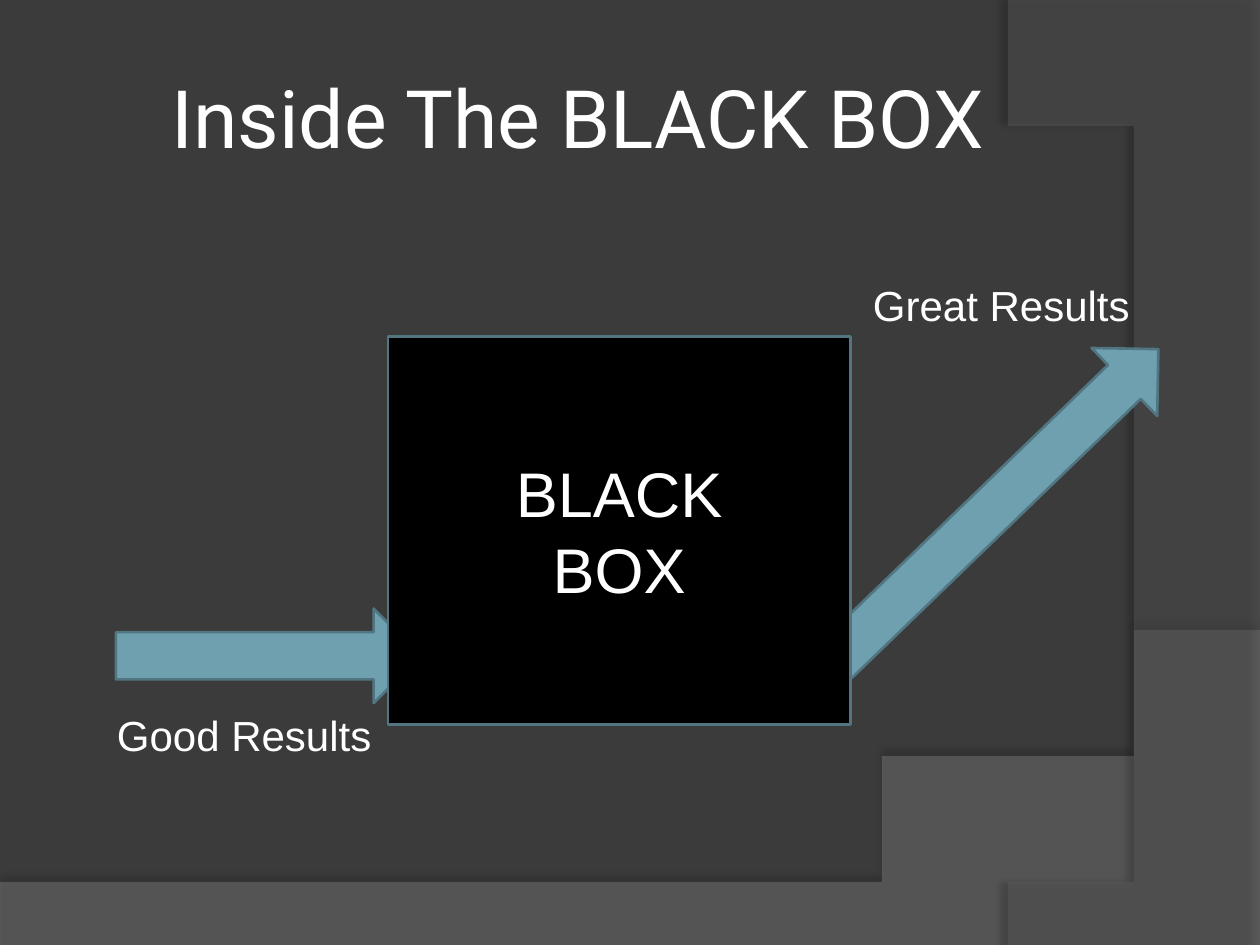
from lxml.etree import SubElement
from pptx import Presentation
from pptx.dml.color import RGBColor
from pptx.enum.shapes import MSO_SHAPE
from pptx.enum.text import MSO_ANCHOR, PP_ALIGN
from pptx.oxml.ns import qn
from pptx.util import Inches, Pt

WHITE, BLACK, TEAL, EDGE = "FFFFFF", "000000", "6EA0B0", "517682"
CURVE_STEPS = 48


def rgb(value):
    return RGBColor.from_string(value)


def write(shape, lines, size, font="Arial", align=PP_ALIGN.CENTER, wrap=True):
    frame = shape.text_frame
    frame.word_wrap = wrap
    frame.vertical_anchor = MSO_ANCHOR.TOP if not wrap else MSO_ANCHOR.MIDDLE
    frame.text = "\n".join(lines)
    for paragraph in frame.paragraphs:
        paragraph.alignment = align
        for name, value in {"size": Pt(size), "name": font}.items():
            setattr(paragraph.font, name, value)
        paragraph.font.color.rgb = rgb(WHITE)


prs = Presentation()
prs.slide_width, prs.slide_height = Inches(10), Inches(7.5)
slide = prs.slides.add_slide(prs.slide_layouts[6])
shapes = slide.shapes
slide.background.fill.solid()
slide.background.fill.fore_color.rgb = rgb("3B3B3B")

# Background waves: straight corners, then one Bezier edge
waves = [
    {"corners": [(0, 7.05), (0, 7.5), (10, 7.5)],
     "curve": [(10, 5.2), (5.59, 7.29), (3.91, 7.19), (0, 7.05)],
     "fill": "7F7F7F", "alpha": 45, "shadow": (35, 3.5, 270)},
    {"corners": [(10, 0.02), (10, 7.5)],
     "curve": [(8.21, 7.5), (9.35, 6.19), (10.18, 3), (8, 0)],
     "fill": "5E5E5E", "alpha": 40, "shadow": (45, 4, 180)},
]
for wave in waves:
    edge = []
    for step in range(CURVE_STEPS + 1):
        t = step / CURVE_STEPS
        weights = ((1 - t) ** 3, 3 * t * (1 - t) ** 2, 3 * t * t * (1 - t), t ** 3)
        edge.append(tuple(sum(w * point[axis] for w, point in zip(weights, wave["curve"]))
                          for axis in (0, 1)))
    outline = shapes.build_freeform(*wave["corners"][0], scale=Inches(1))
    outline.add_line_segments(wave["corners"][1:] + edge, close=True)
    band = outline.convert_to_shape()
    band.line.fill.background()
    band.fill.solid()
    band.fill.fore_color.rgb = rgb(wave["fill"])
    fill_color = next(band.fill._xPr.iter(qn("a:srgbClr")))
    SubElement(fill_color, qn("a:alpha"), val=str(wave["alpha"] * 1000))

    # Soft shadow along the curved edge
    opacity, distance, angle = wave["shadow"]
    band.shadow.inherit = False
    effects = band._element.spPr.find(qn("a:effectLst"))
    shadow = SubElement(effects, qn("a:outerShdw"), blurRad=str(Pt(4)),
                        dist=str(Pt(distance)), dir=str(angle * 60000),
                        algn="ctr", rotWithShape="0")
    shadow_color = SubElement(shadow, qn("a:srgbClr"), val=BLACK)
    SubElement(shadow_color, qn("a:alpha"), val=str(opacity * 1000))

# Arrow in, arrow out, and the box covering their ends
diagram = [
    (MSO_SHAPE.RIGHT_ARROW, (0.92, 4.83, 2.42, 0.75), 0, TEAL, []),
    (MSO_SHAPE.RIGHT_ARROW, (6.09, 3.65, 3.61, 0.75), 316, TEAL, []),
    (MSO_SHAPE.RECTANGLE, (3.08, 2.67, 3.67, 3.08), 0, BLACK, ["BLACK", "BOX"]),
]
for kind, place, rotation, color, words in diagram:
    part = shapes.add_shape(kind, *map(Inches, place))
    part.rotation = rotation
    part.shadow.inherit = False
    part.fill.solid()
    part.fill.fore_color.rgb = rgb(color)
    part.line.color.rgb = rgb(EDGE)
    part.line.width = Pt(1.5)
    if words:
        write(part, words, 36)

# Title
title = shapes.add_textbox(*map(Inches, (0.5, 0.3, 8.17, 1.25)))
for side in ("left", "right", "top", "bottom"):
    setattr(title.text_frame, f"margin_{side}", Inches(0.05))
write(title, ["Inside The BLACK BOX"], 46, "Roboto")

# Labels beside the arrows
for label, place in {"Good Results": (0.83, 5.58, 2.24, 0.5),
                     "Great Results": (6.83, 2.17, 2.26, 0.5)}.items():
    write(shapes.add_textbox(*map(Inches, place)), [label], 24,
          align=PP_ALIGN.LEFT, wrap=False)

prs.save("out.pptx")
